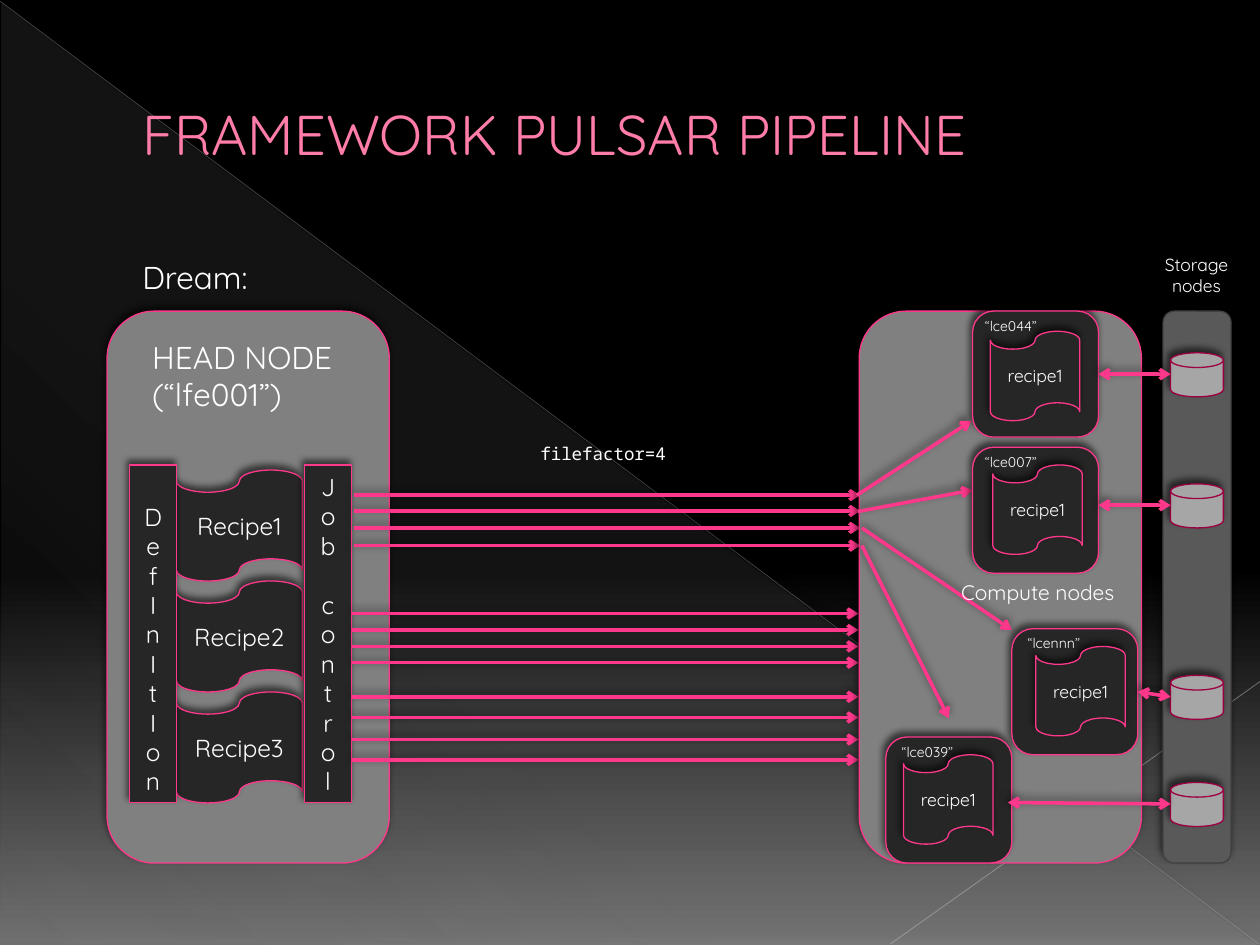
"""Build the framework pulsar pipeline slide."""
from pptx import Presentation
from pptx.dml.color import RGBColor
from pptx.enum.shapes import MSO_CONNECTOR, MSO_SHAPE
from pptx.enum.text import MSO_ANCHOR, PP_ALIGN
from pptx.oxml import parse_xml
from pptx.oxml.ns import nsdecls
from pptx.util import Pt

LINE = MSO_CONNECTOR.STRAIGHT
ROUND = MSO_SHAPE.ROUNDED_RECTANGLE
RECT = MSO_SHAPE.RECTANGLE
TAPE = MSO_SHAPE.FLOWCHART_PUNCHED_TAPE
DISK = MSO_SHAPE.FLOWCHART_MAGNETIC_DISK
WEDGE = MSO_SHAPE.RIGHT_TRIANGLE
LEFT, CENTER = PP_ALIGN.LEFT, PP_ALIGN.CENTER
TOP, MIDDLE = MSO_ANCHOR.TOP, MSO_ANCHOR.MIDDLE

BLACK = RGBColor(0x00, 0x00, 0x00)
SMOKE = RGBColor(0x70, 0x70, 0x70)
GRAY = RGBColor(0x80, 0x80, 0x80)
DARK = RGBColor(0x26, 0x26, 0x26)
STONE = RGBColor(0x59, 0x59, 0x59)
EDGE = RGBColor(0x40, 0x40, 0x40)
SILVER = RGBColor(0xA6, 0xA6, 0xA6)
PINK = RGBColor(0xFF, 0x38, 0x8C)
ROSE = RGBColor(0xFF, 0x7D, 0xA7)
WINE = RGBColor(0x9C, 0x00, 0x42)
WHITE = RGBColor(0xFF, 0xFF, 0xFF)
PALE = RGBColor(0xBF, 0xBF, 0xBF)
MIST = RGBColor(0xC6, 0xC6, 0xC6)

NS = nsdecls("a")
SHADOW = (
    f'<a:effectLst {NS}><a:outerShdw blurRad="%d" dist="%d" dir="14700000">'
    '<a:srgbClr val="000000"><a:alpha val="%d"/></a:srgbClr>'
    "</a:outerShdw></a:effectLst>"
)

deck = Presentation()
deck.slide_width, deck.slide_height = Pt(720), Pt(540)
slide = deck.slides.add_slide(deck.slide_layouts[6])
shapes = slide.shapes


def draw(kind, x, y, w, h, fill=DARK, line=PINK):
    shape = shapes.add_shape(kind, Pt(x), Pt(y), Pt(w), Pt(h))
    shape.fill.solid()
    shape.fill.fore_color.rgb = fill
    shape.line.color.rgb = line
    shape.line.width = Pt(0.75)
    shape._element.spPr.append(parse_xml(SHADOW % (Pt(4), Pt(3), 60000)))
    return shape


def write(text, shape=None, at=None, size=14, font="Quicksand", color=WHITE,
          align=CENTER, anchor=MIDDLE, wrap=True, gap=None):
    shape = shape or shapes.add_textbox(*map(Pt, at))
    frame = shape.text_frame
    frame.word_wrap = wrap
    frame.vertical_anchor = anchor
    frame.text = text
    for n, para in enumerate(frame.paragraphs):
        para.alignment = align
        if n == gap:
            para.space_before = Pt(17)
        para.font.size = Pt(size)
        para.font.name = font
        para.font.color.rgb = color
    return frame


back = slide.background.fill
back.gradient()
back.gradient_angle = 270
for stop, spot, tint in zip(back.gradient_stops, (0.6, 1), (BLACK, SMOKE)):
    stop.position = spot
    stop.color.rgb = tint

wedge = draw(WEDGE, 0.7, 1.4, 718.6, 538.6)
wedge.line.fill.background()
wedge.shadow.inherit = False
stops = "".join(
    f'<a:gs pos="{spot}000"><a:srgbClr val="D2D2D2">'
    f'<a:alpha val="{alpha}000"/></a:srgbClr></a:gs>'
    for spot, alpha in ((0, 10), (70, 8), (100, 1))
)
props = wedge._element.spPr
props.replace(props.solidFill, parse_xml(
    f'<a:gradFill {NS}><a:gsLst>{stops}</a:gsLst>'
    '<a:lin ang="7980000" scaled="0"/></a:gradFill>'))

for ends, tint, width, alpha in (
    ((0, 0.7, 719.3, 539.3), PALE, 0.39, 35),
    ((720, 389.5, 509, 539.3), MIST, 0.47, 45),
):
    ray = shapes.add_connector(LINE, *map(Pt, ends))
    ray.line.color.rgb = tint
    ray.line.width = Pt(width)
    ray.line.fill._xPr.solidFill[0].append(
        parse_xml(f'<a:alpha {NS} val="{alpha}000"/>'))
    ray._element.spPr.append(parse_xml(f"<a:effectLst {NS}/>"))

draw(ROUND, 61.2, 177.8, 161.3, 315.4, GRAY)
title = write("FRAMEWORK PULSAR PIPELINE", at=(36, 20.9, 648, 110.2),
              size=32, color=ROSE, align=LEFT)
title.margin_left = Pt(45.4)
write("HEAD NODE\n(“lfe001”)", at=(79.9, 189.4, 121, 51.1), size=18,
      align=LEFT, anchor=TOP)

for n in range(3):
    write(f"Recipe{n + 1}", draw(TAPE, 100.8, 268.6 + 63.4 * n, 72, 63.4))
write("\n".join("Jobcontrol"), draw(RECT, 174.2, 265.7, 26.6, 193), gap=3)
bar = write("\n".join("DefInItIon"), draw(RECT, 74.2, 265.7, 26.6, 193))
bar.margin_top = Pt(20.6)

wires = []
for x, rows in (
    (202.3, (283, 292, 301.7, 311.8)),
    (201.2, (350.6, 360, 369.4, 378.7)),
    (201.2, (398.2, 410, 422.6, 434.2)),
):
    for y in rows:
        wires.append(shapes.add_connector(
            LINE, Pt(x), Pt(y), Pt(x + 289.3), Pt(y)))

draw(ROUND, 491, 177.8, 161.3, 315.4, GRAY)
for ends in (
    (489.6, 283, 555.1, 240.5),
    (490.3, 292.3, 555.8, 280.1),
    (492.5, 301.7, 578.2, 360),
    (492.5, 311.8, 542.2, 410.4),
):
    wires.append(shapes.add_connector(LINE, *map(Pt, ends)))

nodes = []
for name, x, y, dx, dy, shift in (
    ("“lce044”", 555.8, 177.8, 10.1, 11.5, 0),
    ("“lce007”", 555.8, 255.6, 11.5, 10.1, 0),
    ("“lcennn”", 578.2, 359.3, 13.7, 10.1, 2),
    ("“lce039”", 506.2, 421.2, 10.1, 10.1, 2),
):
    nodes.append(draw(ROUND, x, y, 72, 72))
    write("recipe1", draw(TAPE, x + dx, y + dy, 51.1, 51.1), size=10)
    write(name, at=(x + shift, y, 48.2, 17.3), size=8, align=LEFT,
          anchor=TOP, wrap=False)

write("Compute nodes", at=(542.2, 327.6, 110.9, 21.6), size=12, align=LEFT,
      anchor=TOP, wrap=False)
write("Dream:", at=(74.2, 144, 79.9, 28.8), size=18, align=LEFT,
      anchor=TOP, wrap=False)
write("Storage\nnodes", at=(657.4, 141.8, 52.6, 31.7), size=10,
      anchor=TOP, wrap=False)
write("filefactor=4", at=(301.7, 249.8, 87.1, 31.7), size=10,
      font="Noto Sans Mono", align=LEFT, anchor=TOP, wrap=False)

draw(ROUND, 664.6, 177.8, 38.9, 315.4, STONE, EDGE)
links = []
for node, top, x, y, end, joined in zip(
    nodes,
    (201.6, 276.5, 385.9, 447.1),
    (627.8, 627.8, 650.2, 576),
    (213.8, 288.7, 395.3, 458.6),
    (213.8, 288.7, 398.2, 459.4),
    (True, False, True, False),
):
    draw(DISK, 668.9, top, 30.2, 25.2, SILVER, WINE)
    link = shapes.add_connector(LINE, Pt(x), Pt(y), Pt(668.9), Pt(end))
    if joined:
        link.begin_connect(node, 3)
    links.append(link)

for wire in wires + links:
    wire.line.color.rgb = PINK
    wire.line.width = Pt(2)
    for tip in ("headEnd", "tailEnd") if wire in links else ("tailEnd",):
        wire.line._ln.append(parse_xml(f'<a:{tip} {NS} type="arrow"/>'))
    wire._element.spPr.append(parse_xml(SHADOW % (Pt(5), Pt(2), 50000)))

deck.save("out.pptx")
